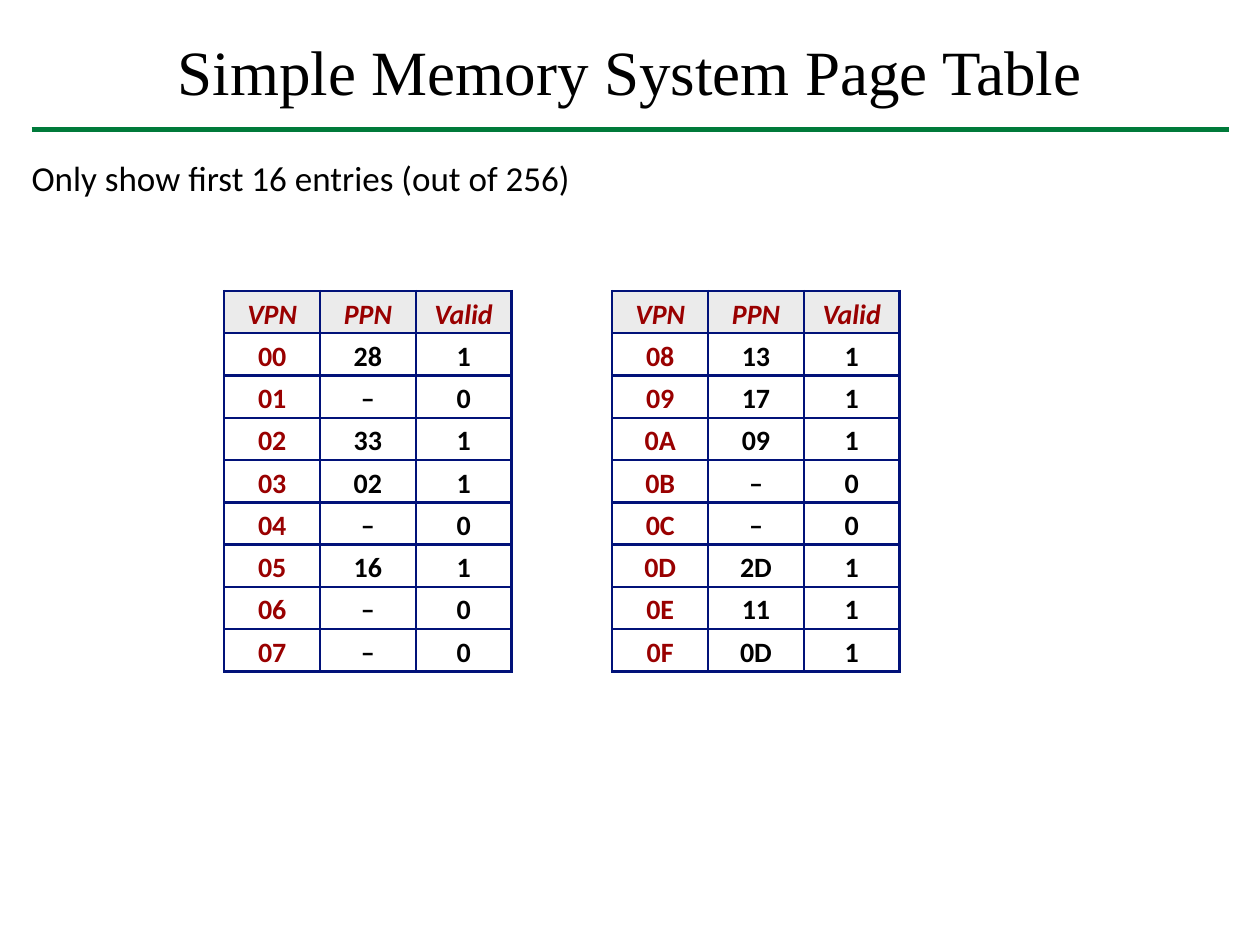
import pptx
import pptx.dml.color
import pptx.enum.shapes
import pptx.enum.text
import pptx.oxml
import pptx.oxml.ns
import pptx.util
from pptx.util import Inches

BLACK = pptx.dml.color.RGBColor(0x00, 0x00, 0x00)
GREEN = pptx.dml.color.RGBColor(0x00, 0x7A, 0x3A)
NAVY = pptx.dml.color.RGBColor(0x01, 0x12, 0x79)
RED = pptx.dml.color.RGBColor(0x99, 0x00, 0x00)
GRAY = pptx.dml.color.RGBColor(0xEB, 0xEB, 0xEB)

HEADER = ("VPN", "PPN", "Valid")
PPNS = ("28", "–", "33", "02", "–", "16", "–", "–",
        "13", "17", "09", "–", "–", "2D", "11", "0D")
ENTRIES = [(f"{vpn:02X}", ppn, "0" if ppn == "–" else "1")
           for vpn, ppn in enumerate(PPNS)]
CENTER = pptx.enum.text.PP_ALIGN.CENTER
LEFT = pptx.enum.text.PP_ALIGN.LEFT


def set_font(p, name, size, color, bold=False, italic=False):
    """Set the font of a whole paragraph."""
    p.font.name = name
    p.font.size = pptx.util.Pt(size)
    p.font.color.rgb = color
    p.font.bold = bold
    p.font.italic = italic


def add_text(slide, text, box, font, size, align):
    """Add a one-line text box."""
    tf = slide.shapes.add_textbox(*map(Inches, box)).text_frame
    tf.word_wrap = True
    tf.margin_left = tf.margin_right = tf.margin_bottom = 0
    tf.margin_top = Inches(0.01)
    p = tf.paragraphs[0]
    p.text = text
    p.alignment = align
    set_font(p, font, size, BLACK)


def add_rule(slide, left, top, width):
    """Add the horizontal rule under the title."""
    line = slide.shapes.add_connector(
        pptx.enum.shapes.MSO_CONNECTOR.STRAIGHT,
        Inches(left), Inches(top), Inches(left + width), Inches(top))
    line.line.color.rgb = GREEN
    line.line.width = pptx.util.Pt(3)
    line._element.spPr.append(pptx.oxml.parse_xml(
        f"<a:effectLst {pptx.oxml.ns.nsdecls('a')}/>"))


def set_borders(cell):
    """Draw all four borders of a cell."""
    tcPr = cell._tc.get_or_add_tcPr()
    for side in "LRTB":
        tcPr.append(pptx.oxml.parse_xml(
            f"<a:ln{side} {pptx.oxml.ns.nsdecls('a')} w='{pptx.util.Pt(1.5)}'>"
            f"<a:solidFill><a:srgbClr val='{NAVY}'/></a:solidFill></a:ln{side}>"))


def fill_cell(cell, text, is_header, is_vpn):
    """Write and format one page table cell."""
    set_borders(cell)
    if is_header:
        cell.fill.solid()
        cell.fill.fore_color.rgb = GRAY
    else:
        cell.fill.background()
    cell.margin_left = cell.margin_right = cell.margin_bottom = 0
    cell.margin_top = Inches(0.05)
    p = cell.text_frame.paragraphs[0]
    p.text = text
    p.alignment = CENTER
    set_font(p, "Calibri", 16, RED if is_header or is_vpn else BLACK,
             bold=True, italic=is_header)


def add_page_table(slide, left, entries):
    """Add a page table with a header row."""
    rows = [HEADER, *entries]
    table = slide.shapes.add_table(
        len(rows), len(HEADER),
        Inches(left), Inches(2.31), Inches(2.28), Inches(3.02)).table
    table.first_row = table.horz_banding = False
    for r, row in enumerate(rows):
        for c, text in enumerate(row):
            fill_cell(table.cell(r, c), text, r == 0, c == 0)


def main():
    """Build the slide and save it."""
    prs = pptx.Presentation()
    prs.slide_width, prs.slide_height = Inches(10), Inches(7.5)
    slide = prs.slides.add_slide(prs.slide_layouts[6])
    add_text(slide, "Simple Memory System Page Table",
             (0.25, 0.25, 9.5, 0.62), "Times New Roman", 36, CENTER)
    add_rule(slide, 0.25, 1.03, 9.5)
    add_text(slide, "Only show ﬁrst 16 entries (out of 256)",
             (0.25, 1.23, 4.31, 0.36), "Calibri", 20, LEFT)
    add_page_table(slide, 4.86, ENTRIES[8:])
    add_page_table(slide, 1.78, ENTRIES[:8])
    prs.save("out.pptx")


if __name__ == "__main__":
    main()
